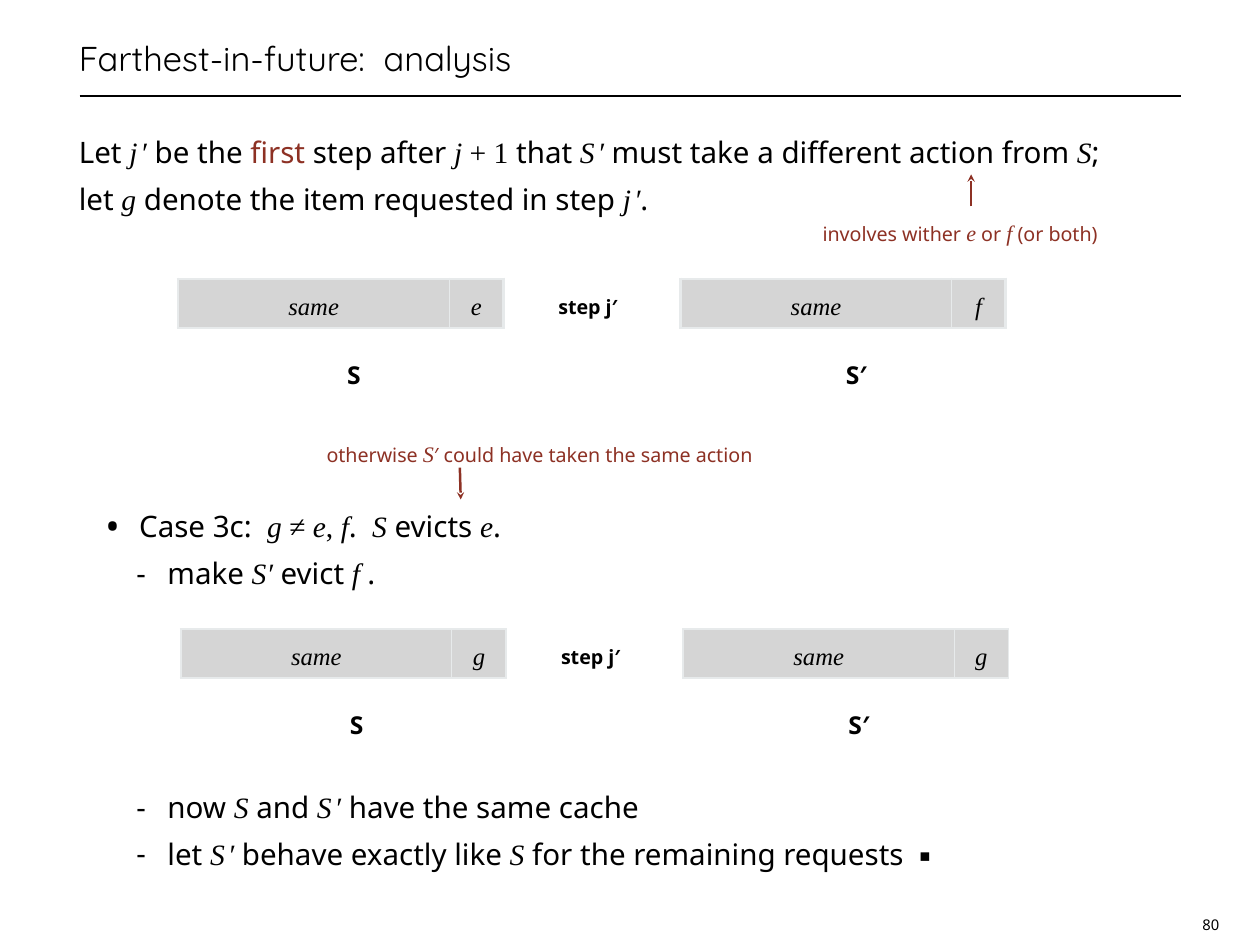
from lxml.etree import SubElement
from pptx import Presentation
from pptx.dml.color import RGBColor
from pptx.enum.shapes import MSO_CONNECTOR
from pptx.enum.text import MSO_ANCHOR, PP_ALIGN
from pptx.oxml.ns import qn
from pptx.util import Emu, Pt

PX = 9144
SANS, SERIF, TITLE = "Noto Sans", "Times New Roman", "Quicksand"
COLORS = {"ink": "000000", "red": "8D3124", "cell": "D5D5D5", "edge": "E7EAEB"}


def px(n):
    return Emu(n * PX)


def rgb(name):
    return RGBColor.from_string(COLORS[name])


class Deck:
    styles = {
        "text": dict(font=SANS),
        "bold": dict(font=SANS, bold=True),
        "title": dict(font=TITLE),
        "first": dict(font=SANS, color="red"),
        "math": dict(font=SERIF, italic=True),
        "wide": dict(font=SERIF, italic=True, spc=240),
        "upright": dict(font=SERIF),
    }

    def __init__(self, w, h):
        self.prs = Presentation()
        self.prs.slide_width, self.prs.slide_height = px(w), px(h)
        self.s = self.prs.slides.add_slide(self.prs.slide_layouts[6])

    def run(self, p, text, style, size, color="ink"):
        look = self.styles[style]
        r = p.add_run()
        r.text = text
        r.font.name = look["font"]
        r.font.size = Pt(size)
        r.font.bold = look.get("bold", False)
        r.font.italic = look.get("italic", False)
        r.font.color.rgb = rgb(look.get("color", color))
        if "spc" in look:
            r.font._element.set("spc", str(look["spc"]))

    def box(self, x, y, w, h, wrap=True, anchor=MSO_ANCHOR.TOP):
        tf = self.s.shapes.add_textbox(px(x), px(y), px(w), px(h)).text_frame
        tf.margin_left = tf.margin_right = tf.margin_top = tf.margin_bottom = 0
        tf.word_wrap = wrap
        tf.vertical_anchor = anchor
        return tf

    def label(self, x, y, w, h, runs, color="ink", spacing=1.3):
        p = self.box(x, y, w, h, wrap=False).paragraphs[0]
        p.alignment = PP_ALIGN.CENTER
        p.line_spacing = spacing
        for text, style, size in runs:
            self.run(p, text, style, size, color)

    def title(self, x, y, w, h, text):
        p = self.box(x, y, w, h, anchor=MSO_ANCHOR.BOTTOM).paragraphs[0]
        p.line_spacing = Pt(38)
        self.run(p, text, "title", 28)

    def body(self, x, y, w, h, paragraphs):
        tf = self.box(x, y, w, h)
        for i, (level, gap_lines, lines) in enumerate(paragraphs):
            p = tf.add_paragraph() if i else tf.paragraphs[0]
            p.line_spacing = Pt(38)
            p.space_before = Pt(38 * gap_lines)
            if level:
                self.bullet(p, *level)
            for k, line in enumerate(lines):
                if k:
                    p.add_line_break()
                for text, style in line:
                    self.run(p, text, style, 24)

    def bullet(self, p, char, left, hang, percent):
        ppr = p._p.get_or_add_pPr()
        ppr.set("marL", str(px(left)))
        ppr.set("indent", str(-px(hang)))
        SubElement(ppr, qn("a:buSzPct"), val=str(percent * 1000))
        SubElement(ppr, qn("a:buFont"), typeface=SANS)
        SubElement(ppr, qn("a:buChar"), char=char)

    def line(self, x1, y1, x2, y2, color, width, arrow=False):
        sp = self.s.shapes.add_connector(
            MSO_CONNECTOR.STRAIGHT, px(x1), px(y1), px(x2), px(y2))
        sp.line.color.rgb = rgb(color)
        sp.line.width = Pt(width)
        if arrow:
            SubElement(sp.line._get_or_add_ln(), qn("a:tailEnd"), type="stealth")
        SubElement(sp._element.spPr, qn("a:effectLst"))

    def border(self, cell, side, width):
        tcpr = cell._tc.get_or_add_tcPr()
        ln = SubElement(tcpr, qn("a:ln" + side), w=str(Pt(width)))
        fill = SubElement(ln, qn("a:solidFill"))
        SubElement(fill, qn("a:srgbClr"), val=COLORS["edge"])

    def cache(self, x, y, items, outer):
        widths = (306, 61)
        tbl = self.s.shapes.add_table(
            1, 2, px(x), px(y), px(sum(widths)), px(54)).table
        tbl.first_row = tbl.horz_banding = False
        tbl.rows[0].height = px(54)
        for i, item in enumerate(items):
            tbl.columns[i].width = px(widths[i])
            cell = tbl.cell(0, i)
            cell.margin_left = cell.margin_right = px(6)
            cell.margin_top = cell.margin_bottom = px(6)
            cell.vertical_anchor = MSO_ANCHOR.MIDDLE
            for side in "LRTB":
                inner = side == "LR"[1 - i]
                self.border(cell, side, 1 if inner else outer)
            cell.fill.solid()
            cell.fill.fore_color.rgb = rgb("cell")
            p = cell.text_frame.paragraphs[0]
            p.alignment = PP_ALIGN.CENTER
            p.line_spacing = 1.3
            self.run(p, item, "math", 20)

    def cache_pair(self, x, y, left, right, outer):
        self.cache(x, y, ("same", left), outer)
        self.cache(x + 567, y, ("same", right), outer)
        self.label(x + 425, y + 10, 81, 25, [("step j′ ", "bold", 16)])
        self.label(x + 190, y + 81, 17, 32, [("S", "bold", 20)])
        self.label(x + 752, y + 81, 27, 32, [("S′", "bold", 20)])


def main():
    d = Deck(1422, 1067)
    d.line(90, 108, 1333, 108, "ink", 1.5)
    d.title(89, 0, 1244, 89, "Farthest-in-future:  analysis")

    dot = ("•", 68, 38, 130)
    dash = ("-", 100, 35, 100)
    d.body(89, 139, 1244, 894, [
        (None, 0, [
            [("Let ", "text"), ("j", "wide"), ("′", "math"), (" be the ", "text"),
             ("first", "first"), (" step after ", "text"), ("j ", "math"),
             ("+ 1", "upright"), (" that ", "text"), ("S", "wide"), ("′ ", "math"),
             ("must take a different action from ", "text"), ("S", "math"),
             (";", "text")],
            [("let ", "text"), ("g", "math"),
             (" denote the item requested in step ", "text"),
             ("j", "wide"), ("′", "math"), (".", "text")]]),
        (dot, 6, [
            [("Case 3c:  ", "text"), ("g", "math"), (" ≠ ", "upright"),
             ("e", "math"), (", ", "upright"), ("f", "math"), (".  ", "text"),
             ("S", "math"), (" evicts ", "text"), ("e", "math"), (".", "text")]]),
        (dash, 0, [
            [("make ", "text"), ("S′", "math"), (" evict ", "text"),
             ("f ", "math"), (".", "text")]]),
        (dash, 4, [
            [("now ", "text"), ("S", "math"), (" and ", "text"), ("S", "wide"),
             ("′", "math"), (" have the same cache", "text")]]),
        (dash, 0, [
            [("let ", "text"), ("S", "wide"), ("′", "math"),
             (" behave exactly like ", "text"), ("S", "math"),
             (" for the remaining requests  ▪", "text")]]),
    ])

    d.line(519, 528, 520, 564, "red", 2, arrow=True)
    d.label(357, 488, 504, 32, [
        ("otherwise ", "text", 16), ("S", "math", 18),
        ("′ could have taken the same action", "text", 16)], "red")
    d.line(1096, 233, 1096, 197, "red", 2, arrow=True)
    d.label(919, 239, 329, 32, [
        ("involves wither ", "text", 16), ("e", "math", 18), (" or ", "text", 16),
        ("f", "math", 18), (" (or both)", "text", 16)], "red")

    d.cache_pair(201, 315, "e", "f", 2.5)
    d.cache_pair(204, 710, "g", "g", 1.5)
    d.label(1355, 1034, 23, 16, [("80", "text", 12)], spacing=Pt(14))
    d.prs.save("out.pptx")


if __name__ == "__main__":
    main()
